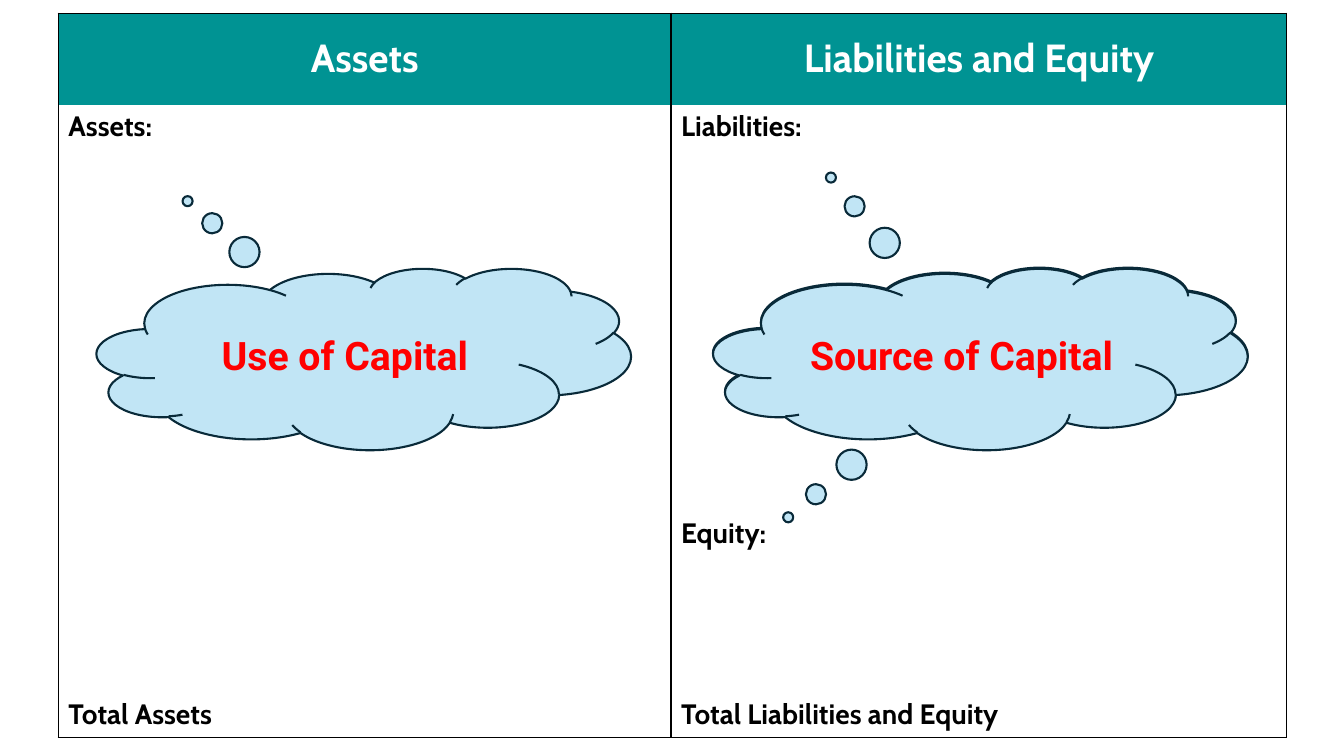
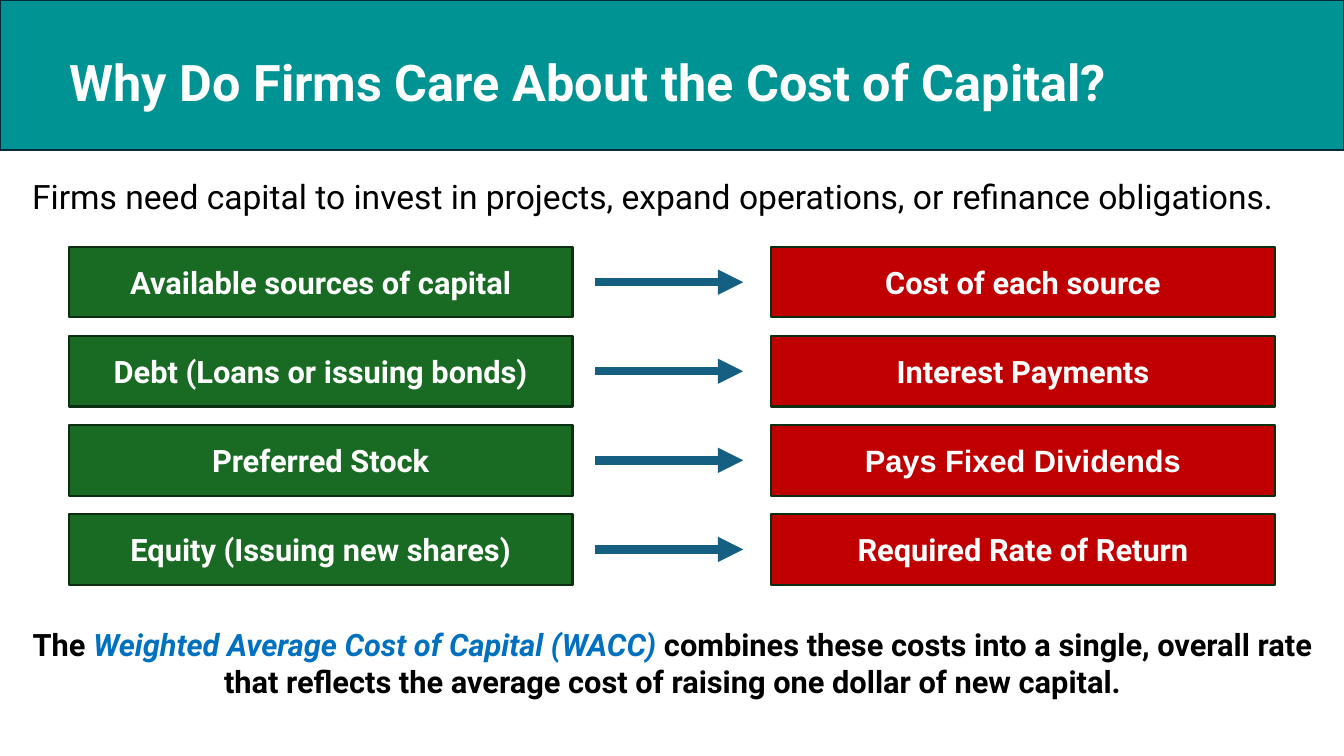
from lxml import etree
from pptx import Presentation
from pptx.dml.color import RGBColor
from pptx.enum import shapes, text
from pptx.oxml import ns
from pptx.util import Cm, Pt

rgb = RGBColor.from_string
TEAL, WHITE, BLACK = "009393", "FFFFFF", "000000"
NAVY, SKY, RED, ARROW_BLUE = "092A39", "C1E5F5", "FF0000", "156082"
GREEN, DARK_GREEN, DARK_RED, LINK_BLUE = "196B24", "0B2F10", "C00000", "0070C0"
CENTER, LEFT = text.PP_ALIGN.CENTER, text.PP_ALIGN.LEFT
MIDDLE = text.MSO_ANCHOR.MIDDLE


def write(tf, words, size, color=BLACK, font="Roboto", bold=True, italic=False, align=CENTER):
    """Add a formatted run to the last paragraph of a text frame."""
    tf.word_wrap = True
    p = tf.paragraphs[-1]
    p.alignment = align
    r = p.add_run()
    r.text = words
    r.font.name, r.font.size = font, Pt(size)
    r.font.bold, r.font.italic = bold, italic
    r.font.color.rgb = rgb(color)


def add_shape(s, kind, left, top, width, height, fill, line):
    sp = s.shapes.add_shape(kind, Cm(left), Cm(top), Cm(width), Cm(height))
    sp.shadow.inherit = False
    sp.fill.solid()
    sp.fill.fore_color.rgb = rgb(fill)
    sp.line.color.rgb = rgb(line)
    sp.line.width = Pt(1.5)
    sp.text_frame.vertical_anchor = MIDDLE
    return sp


prs = Presentation()
prs.slide_width, prs.slide_height = Cm(33.87), Cm(19.05)

# Slide 1: balance sheet
s = prs.slides.add_slide(prs.slide_layouts[6])
ROWS = 15
labels = {
    (0, 0): "Assets", (0, 1): "Liabilities and Equity",
    (1, 0): "Assets:", (1, 1): "Liabilities:",
    (10, 1): "Equity:",
    (14, 0): "Total Assets", (14, 1): "Total Liabilities and Equity",
}
table = s.shapes.add_table(ROWS, 2, Cm(1.47), Cm(0.33), Cm(30.96), Cm(18.27)).table
table.first_row = table.horz_banding = False
style_id = table._tbl.tblPr.find(ns.qn("a:tableStyleId"))
style_id.text = "{2D5ABB26-0587-4C30-8999-92F81FD0307C}"  # no style, no grid
for col, width in zip(table.columns, (15.44, 15.52)):
    col.width = Cm(width)
for i, row in enumerate(table.rows):
    row.height = Cm(1.14 if i else 2.31)
    sides = "LR" + ("T" if i == 0 else "B" if i == ROWS - 1 else "")
    for j, cell in enumerate(row.cells):
        tc_pr = cell._tc.get_or_add_tcPr()
        for side in "LRTB":
            if side in sides:
                ln = etree.SubElement(tc_pr, ns.qn(f"a:ln{side}"), w=str(Pt(1)))
                solid = etree.SubElement(ln, ns.qn("a:solidFill"))
                etree.SubElement(solid, ns.qn("a:srgbClr"), val=BLACK)
        if i == 0:
            cell.fill.solid()
            cell.fill.fore_color.rgb = rgb(TEAL)
            cell.vertical_anchor = MIDDLE
            write(cell.text_frame, labels[i, j], 28, WHITE, "Cabin")
        else:
            cell.fill.background()
            if (i, j) in labels:
                write(cell.text_frame, labels[i, j], 20, font="Cabin", align=LEFT)

# Two clouds overlap on the right, so that one thought points each way
for left, top, tail_x, tail_y, words in (
    (2.44, 6.76, -0.33, -0.87, "Use of Capital"),
    (17.98, 6.73, -0.36, 0.88, ""),
    (17.98, 6.76, -0.28, -1, "Source of Capital"),
):
    cloud = add_shape(s, shapes.MSO_SHAPE.CLOUD_CALLOUT, left, top, 13.46, 4.57, SKY, NAVY)
    cloud.adjustments[0], cloud.adjustments[1] = tail_x, tail_y
    if words:
        write(cloud.text_frame, words, 28, RED)

# Slide 2: sources of capital and their costs
s = prs.slides.add_slide(prs.slide_layouts[5])
RECT = shapes.MSO_SHAPE.RECTANGLE
band = add_shape(s, RECT, 0, 0, 33.87, 3.78, TEAL, NAVY)
title = s.shapes.title
s.shapes._spTree.append(title._element)  # bring the title in front of the band
title.left, title.top, title.width, title.height = Cm(1.5), Cm(0.79), Cm(30.84), Cm(2.72)
title.text_frame.vertical_anchor = MIDDLE
write(title.text_frame, "Why Do Firms Care About the Cost of Capital?", 36, WHITE, align=LEFT)
title.text_frame.paragraphs[0].line_spacing = 0.9

intro = s.shapes.add_textbox(Cm(0.56), Cm(4.32), Cm(32.77), Cm(1.27))
write(intro.text_frame,
      "Firms need capital to invest in projects, expand operations, or refinance obligations.",
      24, bold=False, align=LEFT)

summary = s.shapes.add_textbox(Cm(0.56), Cm(15.65), Cm(32.77), Cm(2.13))
write(summary.text_frame, "The ", 22)
write(summary.text_frame, "Weighted Average Cost of Capital (WACC) ", 22, LINK_BLUE, italic=True)
write(summary.text_frame,
      "combines these costs into a single, overall rate that reflects the average cost of "
      "raising one dollar of new capital.", 22)

BOX_W, BOX_H, BOX_TOP, BOX_STEP = 12.7, 1.78, 6.22, 2.245
for i, (source, cost, cost_font) in enumerate((
    ("Available sources of capital", "Cost of each source", "Roboto"),
    ("Debt (Loans or issuing bonds)", "Interest Payments", "Roboto"),
    ("Preferred Stock", "Pays Fixed Dividends", "Arial"),
    ("Equity (Issuing new shares)", "Required Rate of Return", "Roboto"),
)):
    top = BOX_TOP + i * BOX_STEP
    for left, fill, words, font in (
        (1.73, GREEN, source, "Roboto"),
        (19.43, DARK_RED, cost, cost_font),
    ):
        box = add_shape(s, RECT, left, top, BOX_W, BOX_H, fill, DARK_GREEN)
        write(box.text_frame, words, 22, WHITE, font)
    mid = Cm(top + BOX_H / 2)
    arrow = s.shapes.add_connector(shapes.MSO_CONNECTOR.STRAIGHT, Cm(15), mid, Cm(18.73), mid)
    arrow.line.color.rgb = rgb(ARROW_BLUE)
    arrow.line.width = Pt(6)
    etree.SubElement(arrow.line._get_or_add_ln(), ns.qn("a:tailEnd"), type="triangle")
    etree.SubElement(arrow._element.spPr, ns.qn("a:effectLst"))

prs.save("out.pptx")
